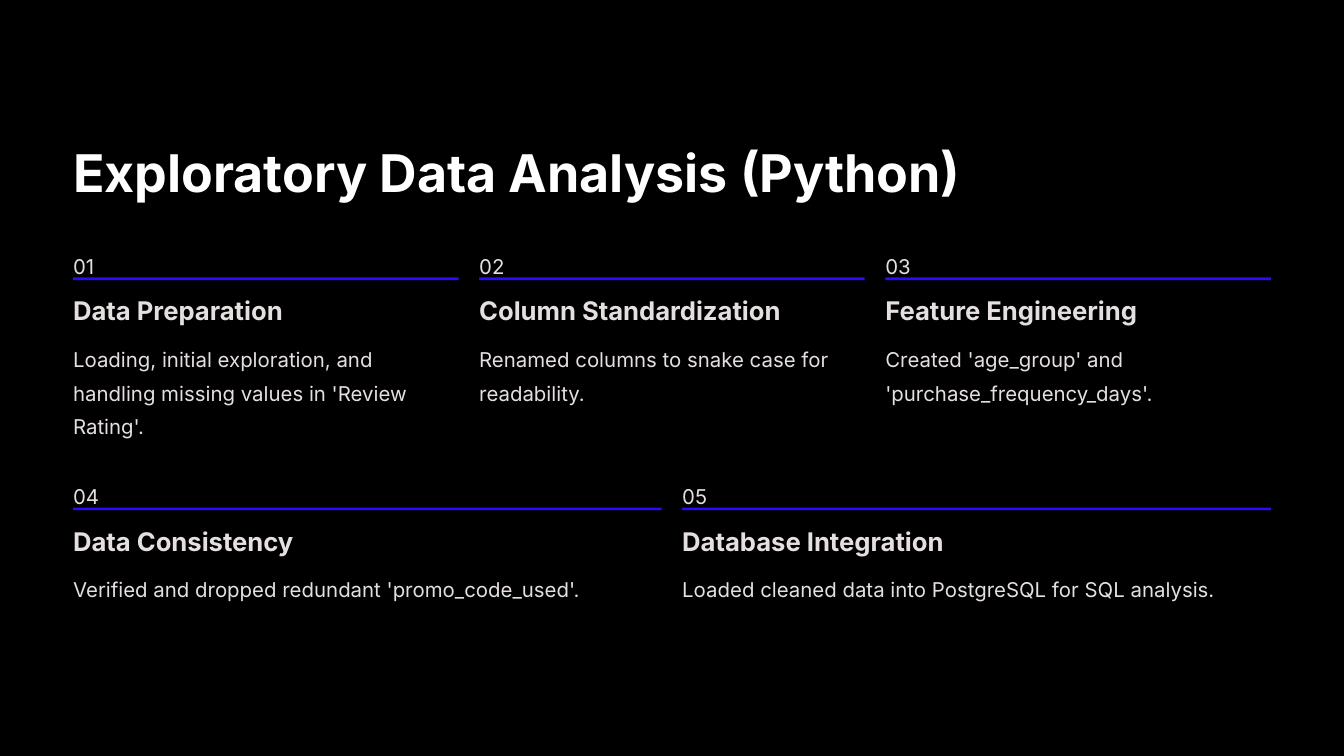
from pptx import Presentation
from pptx.dml.color import RGBColor
from pptx.enum.shapes import MSO_SHAPE
from pptx.enum.text import MSO_ANCHOR, MSO_AUTO_SIZE, PP_ALIGN
from pptx.util import Cm, Pt

TITLE = "Exploratory Data Analysis (Python)"
ROWS = [
    [
        ("01", "Data Preparation",
         "Loading, initial exploration, and handling missing values in 'Review Rating'.", 3),
        ("02", "Column Standardization",
         "Renamed columns to snake case for readability.", 2),
        ("03", "Feature Engineering",
         "Created 'age_group' and 'purchase_frequency_days'.", 2),
    ],
    [
        ("04", "Data Consistency",
         "Verified and dropped redundant 'promo_code_used'.", 1),
        ("05", "Database Integration",
         "Loaded cleaned data into PostgreSQL for SQL analysis.", 1),
    ],
]
COLORS = {"back": "000000", "title": "FFFFFF", "text": "E5E0DF", "rule": "2B0AFF"}
FONT = "Inter"
LEFT, WIDTH, GAP = 2.21, 36.22, 0.62
ROW_TOP, ROW_STEP = 7.42, 6.96
RULE_DY, HEAD_DY, BODY_DY = 0.97, 1.47, 2.82
LINE_HEIGHT = 1.01


def color(name):
    return RGBColor.from_string(COLORS[name])


def set_text(sp, text, size, spacing, name="text", bold=False, wrap=False):
    tf = sp.text_frame
    tf.margin_left = tf.margin_right = tf.margin_top = tf.margin_bottom = 0
    tf.word_wrap = wrap
    tf.auto_size = MSO_AUTO_SIZE.NONE
    tf.vertical_anchor = MSO_ANCHOR.TOP
    p = tf.paragraphs[0]
    p.text = text
    p.alignment = PP_ALIGN.LEFT
    p.line_spacing = Pt(spacing)
    p.font.name, p.font.size, p.font.bold = FONT, Pt(size), bold
    p.font.color.rgb = color(name)


def add_text(s, x, y, w, h, *args, **kwargs):
    sp = s.shapes.add_textbox(Cm(x), Cm(y), Cm(w), Cm(h))
    set_text(sp, *args, **kwargs)


def add_step(s, x, y, w, number, heading, body, lines):
    add_text(s, x, y, 0.63, 0.79, number, 17.5, 28.5)
    rule = s.shapes.add_shape(MSO_SHAPE.RECTANGLE, Cm(x), Cm(y + RULE_DY), Cm(w), Cm(0.08))
    rule.shadow.inherit = False
    rule.fill.solid()
    rule.fill.fore_color.rgb = color("rule")
    rule.line.fill.background()
    add_text(s, x, y + HEAD_DY, 9.27, 0.99, heading, 22, 27.5, bold=True)
    add_text(s, x, y + BODY_DY, w, lines * LINE_HEIGHT, body, 17.5, 28.5, wrap=True)


def main():
    prs = Presentation()
    prs.slide_width, prs.slide_height = Cm(40.64), Cm(22.86)
    s = prs.slides.add_slide(prs.slide_layouts[5])
    s.background.fill.solid()
    s.background.fill.fore_color.rgb = color("back")

    title = s.shapes.title
    title.left, title.top, title.width, title.height = Cm(LEFT), Cm(4.19), Cm(26.97), Cm(1.98)
    set_text(title, TITLE, 44.5, 55.5, name="title", bold=True)

    for i, row in enumerate(ROWS):
        w = (WIDTH - GAP * (len(row) - 1)) / len(row)
        for j, step in enumerate(row):
            add_step(s, LEFT + j * (w + GAP), ROW_TOP + i * ROW_STEP, w, *step)

    prs.save("out.pptx")


if __name__ == "__main__":
    main()
